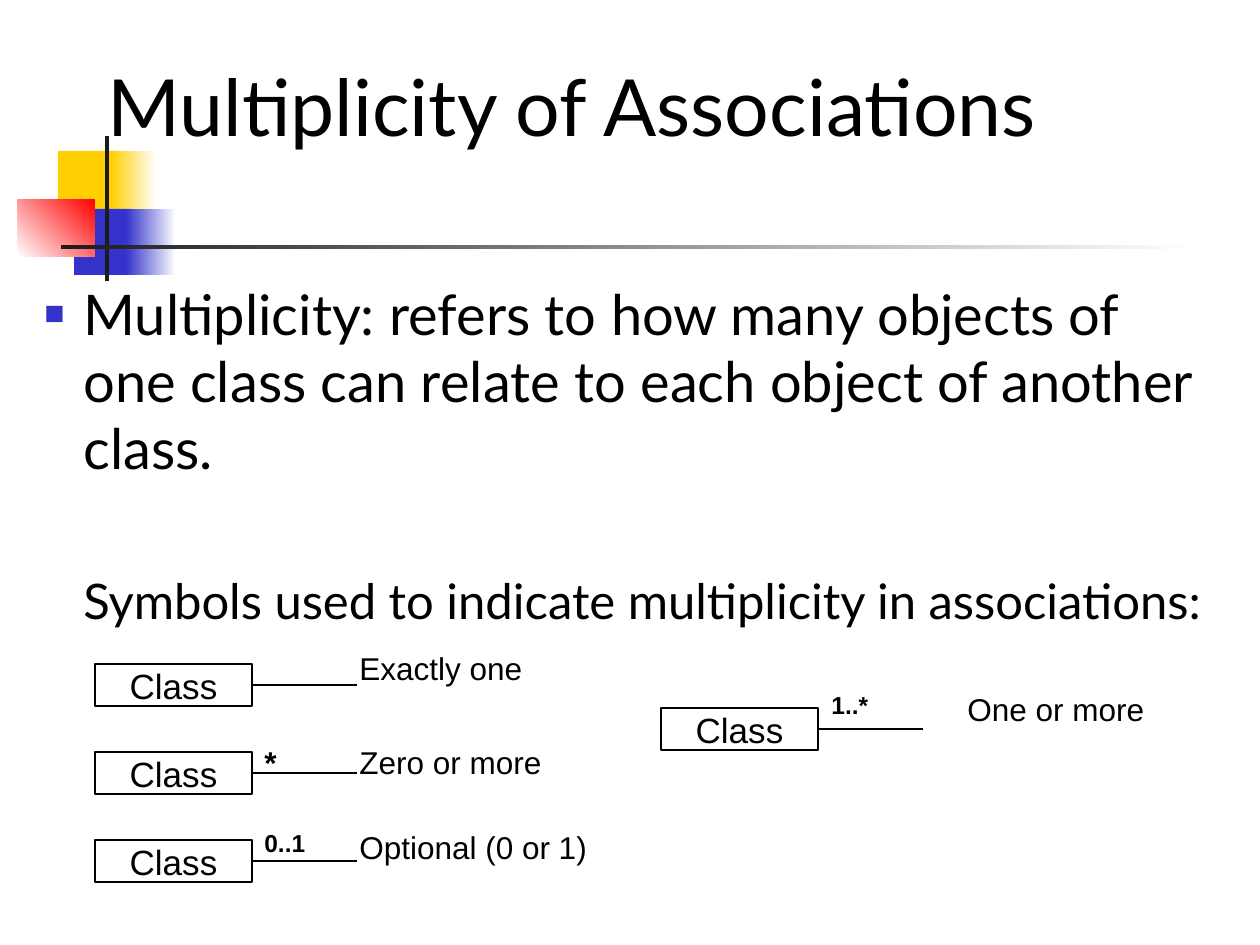
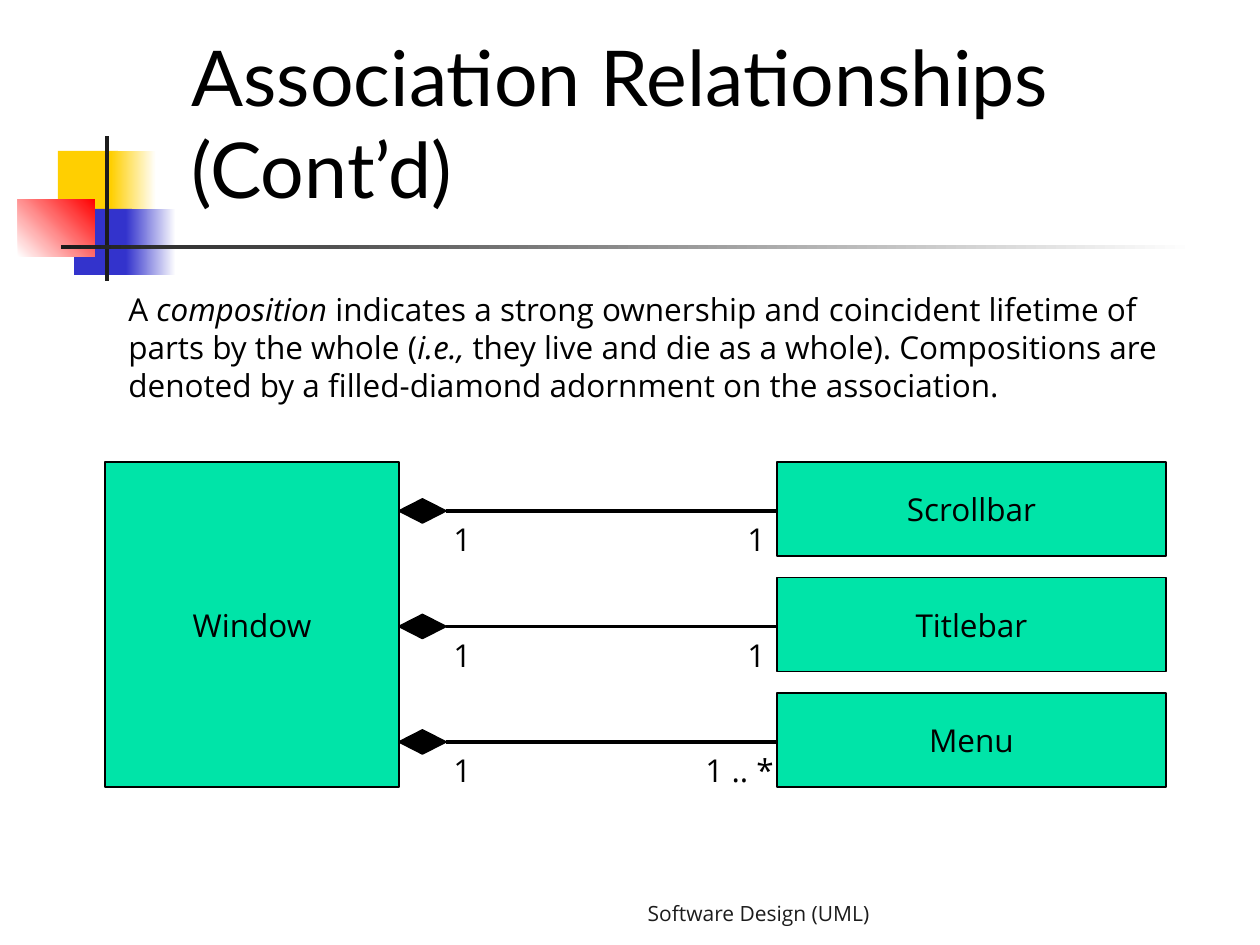
import dataclasses

import lxml.etree
import pptx
import pptx.dml.color
import pptx.enum.shapes
import pptx.enum.text
import pptx.oxml.ns
import pptx.util

PIXELS_PER_INCH = 126
ALIGN = pptx.enum.text.PP_ALIGN
ANCHOR = pptx.enum.text.MSO_ANCHOR
RECTANGLE = pptx.enum.shapes.MSO_SHAPE.RECTANGLE


@dataclasses.dataclass(frozen=True)
class Theme:
    black: str = "000000"
    white: str = "FFFFFF"
    dark: str = "1C1C1C"
    yellow: str = "FFCF01"
    blue: str = "3333CC"
    red: str = "FF0000"
    green: str = "00E4A8"
    heading_font: str = "Lato"
    diagram_font: str = "Arial"
    text_font: str = "Open Sans"
    body_size: int = 32
    lead_size: int = 28
    class_size: int = 20
    text_size: int = 18
    small_size: int = 14
    footer_size: int = 12
    thin: float = 0.75
    outline: float = 1
    thick: float = 2.25


THEME = Theme()


def emu(pixels):
    return round(pixels * 914400 / PIXELS_PER_INCH)


def color(code):
    return pptx.dml.color.RGBColor.from_string(code)


# ---- Kinds of element ----

def style_span(span, size, font, code=THEME.black, bold=False, italic=False):
    span.font.size = pptx.util.Pt(size)
    span.font.name = font
    span.font.color.rgb = color(code)
    span.font.bold = bold
    span.font.italic = italic


def add_box(shapes, left, top, width, height, fill=None, line=None):
    """Rectangle; fill is a colour, a (start, end, angle) gradient or None."""
    box = shapes.add_shape(RECTANGLE, *map(emu, (left, top, width, height)))
    box.shadow.inherit = False
    if fill is None:
        box.fill.background()
    elif isinstance(fill, tuple):
        start, end, angle = fill
        box.fill.gradient()
        box.fill.gradient_angle = angle
        for stop, code in zip(box.fill.gradient_stops, (start, end)):
            stop.color.rgb = color(code)
    else:
        box.fill.solid()
        box.fill.fore_color.rgb = color(fill)
    if line is None:
        box.line.fill.background()
    else:
        box.line.color.rgb = color(line)
        box.line.width = pptx.util.Pt(THEME.thin)
    return box


def add_named_box(shapes, name, frame, size, font, fill=None):
    box = add_box(shapes, *frame, fill=fill, line=THEME.black)
    box.text_frame.text = name
    box.text_frame.word_wrap = False
    box.text_frame.vertical_anchor = ANCHOR.MIDDLE
    para = box.text_frame.paragraphs[0]
    para.alignment = ALIGN.CENTER
    style_span(para.runs[0], size, font)


def add_text(page, text, frame, size, font, code=THEME.black, bold=False,
             align=ALIGN.LEFT, anchor=ANCHOR.TOP, wrap=True, grow=False):
    box = page.shapes.add_textbox(*map(emu, frame))
    box.text_frame.text = text
    box.text_frame.word_wrap = wrap
    box.text_frame.vertical_anchor = anchor
    if grow:
        box.text_frame.auto_size = pptx.enum.text.MSO_AUTO_SIZE.SHAPE_TO_FIT_TEXT
    for para in box.text_frame.paragraphs:
        para.alignment = align
        for span in para.runs:
            style_span(span, size, font, code, bold)
    return box


def add_line(shapes, left, right, y, weight):
    line = shapes.add_connector(pptx.enum.shapes.MSO_CONNECTOR.STRAIGHT,
                                emu(left), emu(y), emu(right), emu(y))
    line.line.color.rgb = color(THEME.black)
    line.line.width = pptx.util.Pt(weight)
    lxml.etree.SubElement(line._element.spPr, pptx.oxml.ns.qn("a:effectLst"))


def add_diamond(shapes, left, middle, width, half_height):
    center, right = left + width / 2, left + width
    builder = shapes.build_freeform(emu(left), emu(middle))
    corners = ((center, middle - half_height), (right, middle),
               (center, middle + half_height))
    builder.add_line_segments([(emu(x), emu(y)) for x, y in corners], close=True)
    diamond = builder.convert_to_shape()
    diamond.shadow.inherit = False
    diamond.fill.solid()
    diamond.fill.fore_color.rgb = color(THEME.black)
    diamond.line.color.rgb = color(THEME.black)
    diamond.line.width = pptx.util.Pt(THEME.outline)


def indent(para, margin, first):
    properties = para._p.get_or_add_pPr()
    properties.set("marL", str(emu(margin)))
    properties.set("indent", str(emu(first)))
    return properties


def add_bullet(properties):
    tag = pptx.oxml.ns.qn
    shade = lxml.etree.SubElement(properties, tag("a:buClr"))
    lxml.etree.SubElement(shade, tag("a:srgbClr"), val=THEME.blue)
    lxml.etree.SubElement(properties, tag("a:buSzPct"), val="60000")
    lxml.etree.SubElement(properties, tag("a:buFont"), typeface=THEME.diagram_font)
    lxml.etree.SubElement(properties, tag("a:buChar"), char="■")


# ---- Shared page design ----

def add_page(deck, title, frame, size):
    page = deck.slides.add_slide(deck.slide_layouts[6])
    for *place, fill in (
        (58, 151, 60, 66, THEME.yellow),
        (111, 151, 45, 66, (THEME.yellow, THEME.white, 0)),
        (74, 209, 58, 66, THEME.blue),
        (126, 209, 50, 66, (THEME.blue, THEME.white, 0)),
        (18, 199, 77, 58, (THEME.white, THEME.red, 45)),
        (105, 136, 4, 145, THEME.dark),
        (61, 245, 1134, 4, (THEME.dark, THEME.white, 0)),
    ):
        add_box(page.shapes, *place, fill=fill)
    add_text(page, title, frame, size, THEME.heading_font, anchor=ANCHOR.BOTTOM)
    return page


# ---- Slide 1: multiplicity ----

def add_class(page, left, top):
    group = page.shapes.add_group_shape()
    width, height = 157, 42
    add_named_box(group.shapes, "Class", (left, top, width, height),
                  THEME.class_size, THEME.diagram_font)
    add_line(group.shapes, left + width, left + width + 105,
             top + height / 2, THEME.thin)


def build_multiplicity(deck):
    page = add_page(deck, "Multiplicity of Associations", (95, 53, 1071, 105), 45)

    # Definition and lead-in
    body = add_text(
        page,
        "Multiplicity: refers to how many objects of one class can relate to "
        "each object of another class.\n"
        "Symbols used to indicate multiplicity in associations:",
        (32, 273, 1197, 305), THEME.body_size, THEME.heading_font)
    definition, lead = body.text_frame.paragraphs
    add_bullet(indent(definition, 39, -39))
    indent(lead, 79, -40)
    lead.space_before = pptx.util.Pt(51)
    lead.runs[0].font.size = pptx.util.Pt(THEME.lead_size)

    # Class symbols
    for row in range(3):
        add_class(page, 95, 664 + 88 * row)
    add_class(page, 661, 708)

    # Meanings
    for text, left, top, width in (
        ("Exactly one", 347, 643, 188),
        ("Zero or more", 347, 737, 208),
        ("Optional (0 or 1)", 347, 822, 253),
        ("One or more", 955, 684, 202),
    ):
        add_text(page, text, (left, top, width, 50), THEME.text_size,
                 THEME.diagram_font, wrap=False, grow=True)

    # Multiplicity marks
    for mark, frame, size in (
        ("*", (252, 737, 34, 50), THEME.text_size),
        ("0..1", (252, 822, 126, 42), THEME.small_size),
        ("1..*", (819, 684, 84, 42), THEME.small_size),
    ):
        add_text(page, mark, frame, size, THEME.diagram_font, bold=True, grow=True)


# ---- Slide 2: composition ----

def add_part(page, name, top):
    group = page.shapes.add_group_shape()
    middle = top + 49
    add_line(group.shapes, 446, 782, middle, THEME.thick)
    add_diamond(group.shapes, 399, middle, 47, 12)
    add_named_box(group.shapes, name, (777, top, 389, 94),
                  THEME.text_size, THEME.text_font, THEME.green)


def build_composition(deck):
    page = add_page(deck, "Association Relationships (Cont’d)",
                    (179, 147, 1113, 73), 44)
    add_text(page, "Software Design (UML)", (325, 882, 557, 63),
             THEME.footer_size, THEME.text_font, THEME.dark,
             align=ALIGN.RIGHT, anchor=ANCHOR.MIDDLE)

    # Explanation with italic terms
    explanation = add_text(page, "", (116, 284, 1081, 164),
                           THEME.text_size, THEME.text_font, grow=True)
    for text, italic in (
        ("A ", False),
        ("composition ", True),
        ("indicates a strong ownership and coincident lifetime of parts by "
         "the whole (", False),
        ("i.e.,", True),
        (" they live and die as a whole). Compositions are denoted by a "
         "filled-diamond adornment on the association.", False),
    ):
        span = explanation.text_frame.paragraphs[0].add_run()
        span.text = text
        style_span(span, THEME.text_size, THEME.text_font, italic=italic)

    # Whole and its parts
    first_top, step = 462, 115.5
    add_named_box(page.shapes, "Window", (105, first_top, 294, 325),
                  THEME.text_size, THEME.text_font, THEME.green)
    for row, (name, count, left, width) in enumerate((
        ("Scrollbar", "1", 735, 42),
        ("Titlebar", "1", 735, 42),
        ("Menu", "1 .. *", 693, 105),
    )):
        top = first_top + step * row
        add_part(page, name, top)
        for text, x, size in (("1", 441, 42), (count, left, width)):
            add_text(page, text, (x, top + 52, size, 50),
                     THEME.text_size, THEME.text_font, grow=True)


def main():
    deck = pptx.Presentation()
    deck.slide_width = emu(1260)
    deck.slide_height = emu(945)
    build_multiplicity(deck)
    build_composition(deck)
    deck.save("out.pptx")


main()
